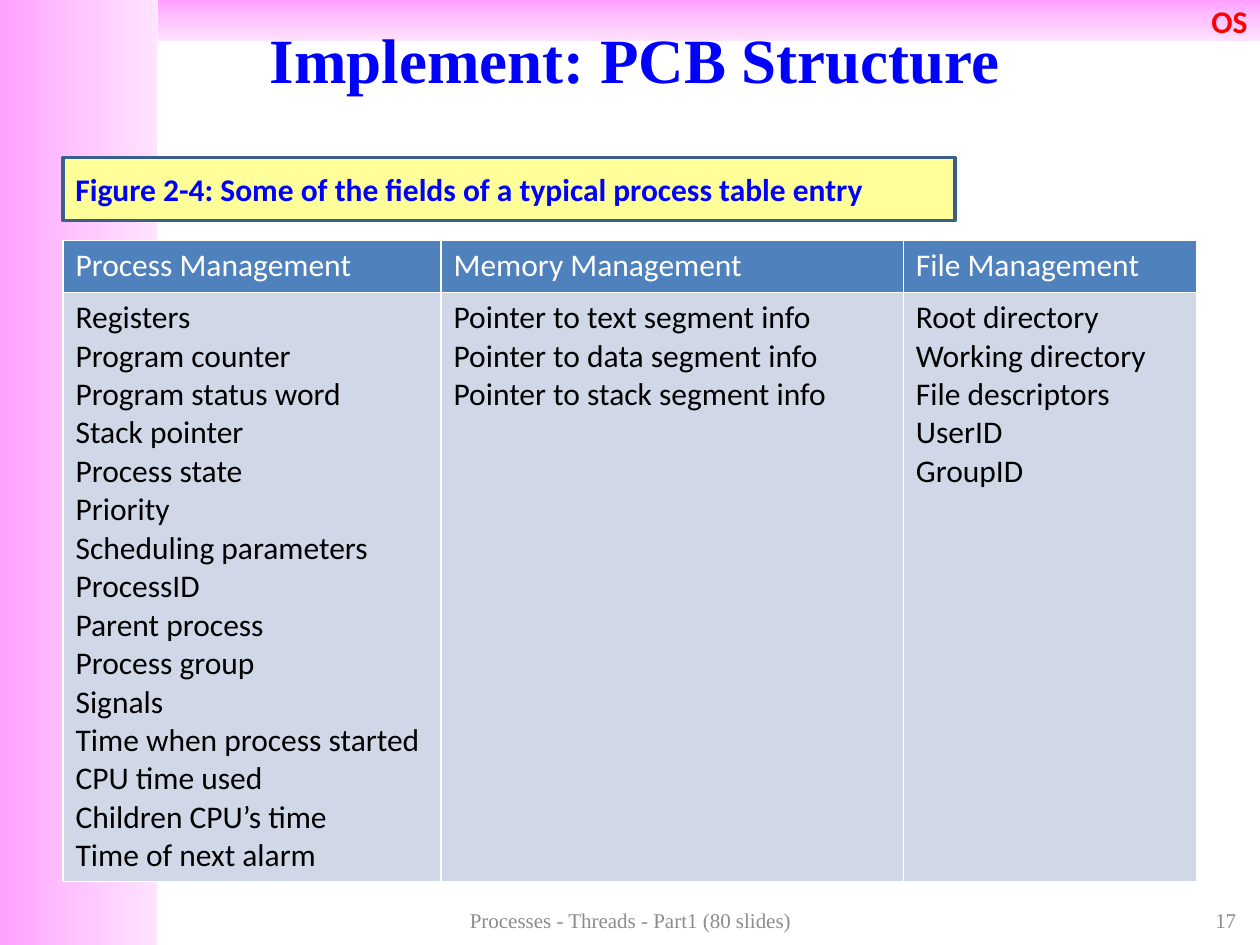
from copy import deepcopy
from dataclasses import dataclass

from lxml.etree import SubElement
from pptx import Presentation
from pptx.dml.color import RGBColor
from pptx.enum.shapes import MSO_SHAPE
from pptx.enum.text import MSO_ANCHOR, PP_ALIGN
from pptx.oxml.ns import qn
from pptx.util import Inches, Pt


@dataclass(frozen=True)
class Theme:
    sans: str = "Calibri"
    serif: str = "Times New Roman"
    title_size: int = 36
    body_size: int = 18
    footer_size: int = 12
    blue: str = "0000FF"
    red: str = "FF0000"
    black: str = "000000"
    white: str = "FFFFFF"
    grey: str = "8C8C8C"
    header: str = "4F81BD"
    cell: str = "D0D8E8"
    caption: str = "FFFF99"
    outline: str = "3A5F8C"
    band: tuple = ("FFA0FF", "FFC5FF", "FFE3FF")


THEME = Theme()

COLUMNS = [
    ("Process Management", 3, [
        "Registers", "Program counter", "Program status word", "Stack pointer",
        "Process state", "Priority", "Scheduling parameters", "ProcessID",
        "Parent process", "Process group", "Signals",
        "Time when process started", "CPU time used", "Children CPU’s time",
        "Time of next alarm"]),
    ("Memory Management", 3.67, [
        "Pointer to text segment info", "Pointer to data segment info",
        "Pointer to stack segment info"]),
    ("File Management", 2.33, [
        "Root directory", "Working directory", "File descriptors", "UserID",
        "GroupID"]),
]


def rgb(value):
    return RGBColor.from_string(value)


def write(tf, lines, size, color, font=THEME.sans, bold=False,
          align=PP_ALIGN.LEFT):
    for i, line in enumerate(lines):
        p = tf.add_paragraph() if i else tf.paragraphs[0]
        p.alignment = align
        r = p.add_run()
        r.text = line
        r.font.name = font
        r.font.size = Pt(size)
        r.font.bold = bold
        r.font.color.rgb = rgb(color)


def add_box(s, *box):
    sp = s.shapes.add_shape(MSO_SHAPE.RECTANGLE, *map(Inches, box))
    sp.shadow.inherit = False
    sp.text_frame.vertical_anchor = MSO_ANCHOR.MIDDLE
    return sp


def add_band(s, box, angle):
    sp = add_box(s, *box)
    sp.line.fill.background()
    sp.fill.gradient()
    sp.fill.gradient_angle = angle
    stops = sp._element.spPr.find(".//" + qn("a:gsLst"))
    stops.append(deepcopy(stops[-1]))
    for stop, color, position in zip(sp.fill.gradient_stops, THEME.band,
                                     (0, 0.5, 1)):
        stop.color.rgb = rgb(color)
        stop.position = position
    return sp


def add_title(s, text):
    sp = s.shapes.title
    sp.left, sp.top, sp.width, sp.height = map(Inches, (0.25, 0, 9.58, 0.92))
    sp.text_frame.vertical_anchor = MSO_ANCHOR.MIDDLE
    write(sp.text_frame, [text], THEME.title_size, THEME.blue, THEME.serif,
          True, PP_ALIGN.CENTER)
    s.shapes._spTree.append(sp._element)


def add_caption(s, text):
    sp = add_box(s, 0.5, 1.25, 7.08, 0.5)
    sp.fill.solid()
    sp.fill.fore_color.rgb = rgb(THEME.caption)
    sp.line.color.rgb = rgb(THEME.outline)
    sp.line.width = Pt(2)
    write(sp.text_frame, [text], THEME.body_size, THEME.blue, bold=True)


def fill_cell(cell, lines, text_color, fill_color):
    tcPr = cell._tc.get_or_add_tcPr()
    for side in ("L", "R", "T", "B"):
        ln = SubElement(tcPr, qn(f"a:ln{side}"), w=str(Pt(1)))
        fill = SubElement(ln, qn("a:solidFill"))
        SubElement(fill, qn("a:srgbClr"), val=THEME.white)
    cell.fill.solid()
    cell.fill.fore_color.rgb = rgb(fill_color)
    write(cell.text_frame, lines, THEME.body_size, text_color)


def add_fields_table(s):
    heights = (0.41, 4.67)
    table = s.shapes.add_table(
        2, len(COLUMNS), Inches(0.5), Inches(1.91), Inches(9),
        Inches(sum(heights))).table
    for row, height in zip(table.rows, heights):
        row.height = Inches(height)
    for i, (heading, width, fields) in enumerate(COLUMNS):
        table.columns[i].width = Inches(width)
        fill_cell(table.cell(0, i), [heading], THEME.white, THEME.header)
        fill_cell(table.cell(1, i), fields, THEME.black, THEME.cell)


def add_footer(s, text, left, width, align):
    sp = s.shapes.add_textbox(*map(Inches, (left, 7.17, width, 0.27)))
    tf = sp.text_frame
    tf.word_wrap = True
    tf.vertical_anchor = MSO_ANCHOR.MIDDLE
    write(tf, [text], THEME.footer_size, THEME.grey, THEME.serif, align=align)


def main():
    prs = Presentation()
    prs.slide_width, prs.slide_height = Inches(10), Inches(7.5)
    s = prs.slides.add_slide(prs.slide_layouts[5])
    add_band(s, (0, 0, 1.25, 7.5), 0)
    top = add_band(s, (1.25, 0, 8.75, 0.33), 270)
    write(top.text_frame, ["OS"], THEME.body_size, THEME.red, bold=True,
          align=PP_ALIGN.RIGHT)
    add_title(s, "Implement: PCB Structure")
    add_fields_table(s)
    add_caption(
        s, "Figure 2-4: Some of the fields of a typical process table entry")
    add_footer(s, "17", 7.58, 2.33, PP_ALIGN.RIGHT)
    add_footer(s, "Processes - Threads - Part1 (80 slides)", 3.42, 3.17,
               PP_ALIGN.CENTER)
    prs.save("out.pptx")


if __name__ == "__main__":
    main()
